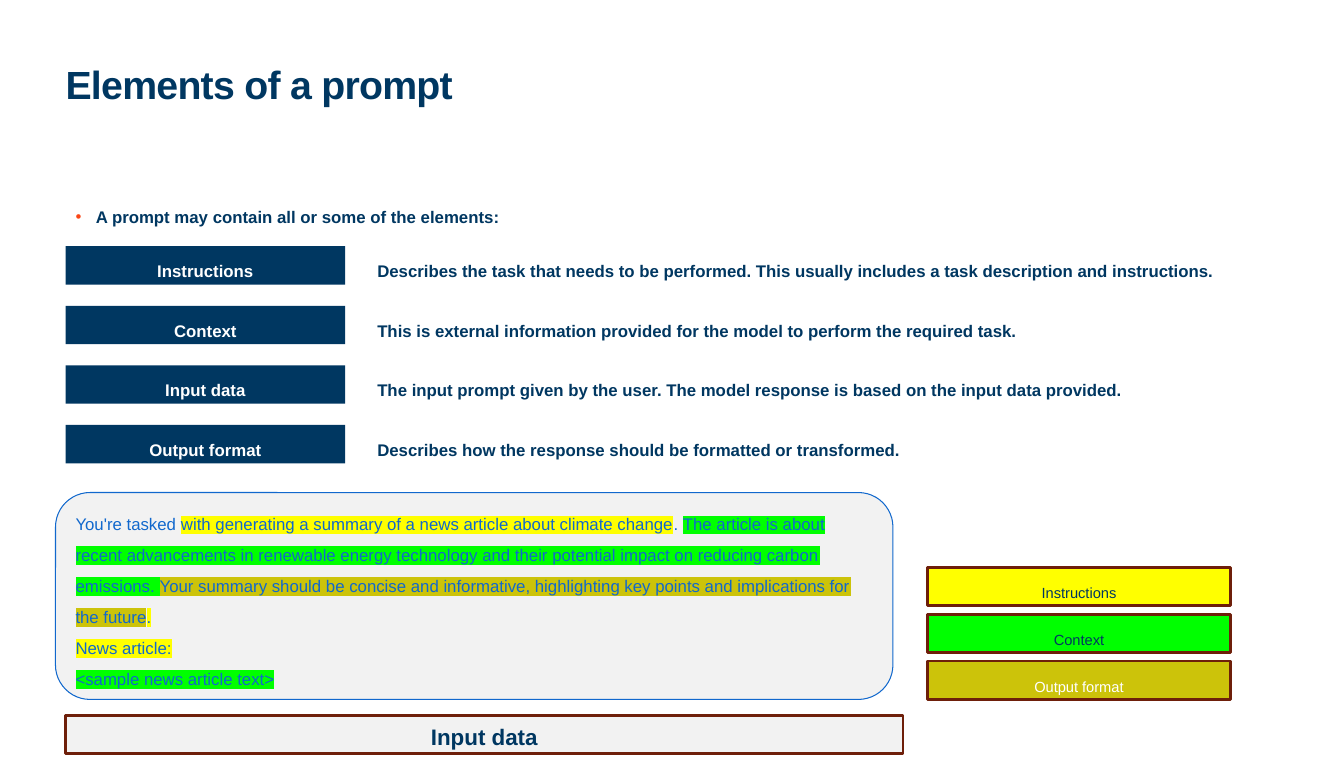
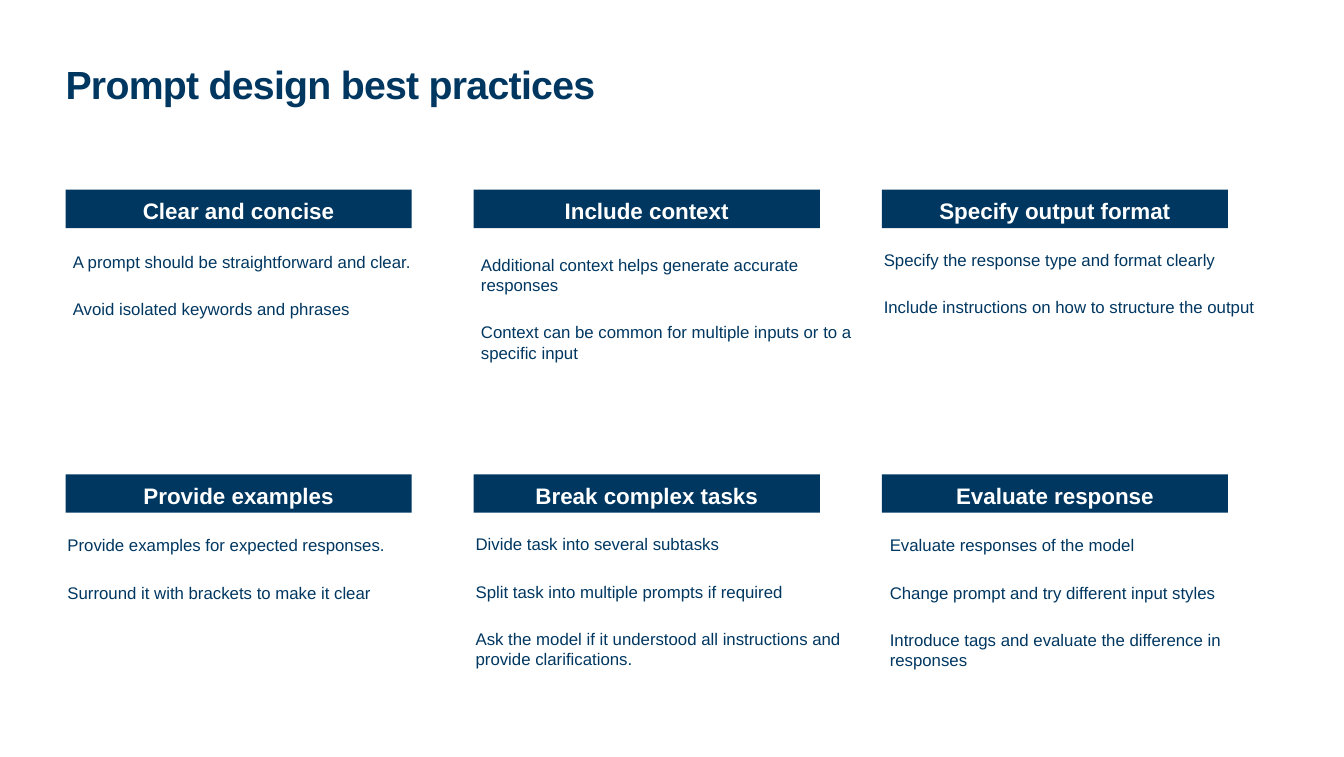
from lxml import etree
from pptx import Presentation
from pptx import util as u
from pptx.dml.color import RGBColor
from pptx.enum import shapes, text
from pptx.oxml.ns import qn

NAVY = RGBColor(0x00, 0x37, 0x61)
BLUE = RGBColor(0x11, 0x68, 0xCD)
WHITE = RGBColor(0xFF, 0xFF, 0xFF)
PALE = RGBColor(0xF2, 0xF2, 0xF2)
BROWN = RGBColor(0x6E, 0x1F, 0x0A)
ORANGE = RGBColor(0xFA, 0x46, 0x16)
YELLOW = RGBColor(0xFF, 0xFF, 0x00)
GREEN = RGBColor(0x00, 0xFF, 0x00)
OLIVE = RGBColor(0xCC, 0xC3, 0x0A)

FONT = "Arial"
LEADING = u.Pt(22)
LEFT, FULL, BAR = 4.88, 89.79, 5.07  # shares of the slide, in percent
CENTER, START = text.PP_ALIGN.CENTER, text.PP_ALIGN.LEFT
MIDDLE, TOP = text.MSO_ANCHOR.MIDDLE, text.MSO_ANCHOR.TOP


def add_color(parent, tag, color):
    element = etree.SubElement(parent, qn(tag))
    etree.SubElement(element, qn("a:srgbClr"), val=str(color))
    return element


def write(frame, paragraphs, size=12, color=NAVY, bold=False, align=START,
          leading=LEADING, gap=0, anchor=MIDDLE, tracking=0, bullet=None):
    """Fill a frame; a paragraph is a string or a list of (words, highlight)."""
    frame.word_wrap = True
    frame.auto_size = text.MSO_AUTO_SIZE.NONE
    frame.vertical_anchor = anchor
    for index, content in enumerate(paragraphs):
        paragraph = frame.add_paragraph() if index else frame.paragraphs[0]
        if bullet:
            properties = paragraph._p.get_or_add_pPr()
            properties.set("marL", str(u.Inches(0.2)))
            properties.set("indent", str(u.Inches(-0.2)))
            add_color(properties, "a:buClr", bullet)
            etree.SubElement(properties, qn("a:buChar"), char="•")
        paragraph.alignment = align
        paragraph.line_spacing = leading
        paragraph.space_before = u.Pt(gap if index else 0)
        for words, highlight in [(content, None)] if isinstance(content, str) else content:
            if words == "\n":
                paragraph.add_line_break()
                continue
            run = paragraph.add_run()
            run.text = words
            run.font.size, run.font.bold, run.font.name = u.Pt(size), bold, FONT
            run.font.color.rgb = color
            properties = run._r.get_or_add_rPr()
            if tracking:
                properties.set("spc", str(int(tracking * 100)))
            if highlight:
                mark = add_color(properties, "a:highlight", highlight)
                properties.find(qn("a:solidFill")).addnext(mark)


class Deck:
    """Holds the presentation and the current slide; lengths are percent of the slide."""

    def __init__(self):
        self.show = Presentation()
        self.show.slide_width, self.show.slide_height = u.Inches(13.32), u.Inches(7.5)
        self.slide = None

    def area(self, left, top, width, height):
        across, down = self.show.slide_width / 100, self.show.slide_height / 100
        return [u.Emu(round(share * unit)) for share, unit in
                zip((left, top, width, height), (across, down, across, down))]

    def move(self, holder, *place):
        holder.left, holder.top, holder.width, holder.height = self.area(*place)
        return holder.text_frame

    def new_slide(self, title, layout):
        self.slide = self.show.slides.add_slide(self.show.slide_layouts[layout])
        frame = self.move(self.slide.shapes.title, LEFT, 8.93, FULL, 7.07)
        frame.margin_left = frame.margin_right = frame.margin_top = frame.margin_bottom = 0
        write(frame, [title], size=28, bold=True, leading=0.85, anchor=TOP, tracking=-0.5)

    def body(self, points, *place):
        frame = self.move(self.slide.placeholders[1], *place)
        write(frame, points, bold=True, anchor=TOP, bullet=ORANGE)

    def label(self, paragraphs, *place, **style):
        write(self.slide.shapes.add_textbox(*self.area(*place)).text_frame, paragraphs, **style)

    def panel(self, paragraphs, *place, fill=NAVY, line=None, weight=2,
              kind=shapes.MSO_SHAPE.RECTANGLE, **style):
        panel = self.slide.shapes.add_shape(kind, *self.area(*place))
        panel.shadow.inherit = False
        panel.fill.solid()
        panel.fill.fore_color.rgb = fill
        if line:
            panel.line.color.rgb = line
            panel.line.width = u.Pt(weight)
        else:
            panel.line.fill.background()
        write(panel.text_frame, paragraphs, **style)

    def bar(self, caption, left, top, width, **style):
        options = {"color": WHITE, "size": 16, "bold": True, "align": CENTER, **style}
        self.panel([caption], left, top, width, BAR, **options)


ELEMENTS = [
    ("Instructions", "Describes the task that needs to be performed. "
                     "This usually includes a task description and instructions."),
    ("Context", "This is external information provided for the model to perform the required task."),
    ("Input data", "The input prompt given by the user. "
                   "The model response is based on the input data provided."),
    ("Output format", "Describes how the response should be formatted or transformed."),
]
SAMPLE_PROMPT = [
    [("You're tasked ", None),
     ("with generating a summary of a news article about climate change", YELLOW),
     (". ", None),
     ("The article is about recent advancements in renewable energy technology and their "
      "potential impact on reducing carbon emissions. ", GREEN),
     ("Your summary should be concise and informative, highlighting key points and "
      "implications for the future", OLIVE),
     (".", YELLOW)],
    [("News article:", YELLOW), ("\n", None), ("<sample news article text>", GREEN)],
]
LEGEND = [("Instructions", YELLOW, NAVY), ("Context", GREEN, NAVY), ("Output format", OLIVE, WHITE)]

# Heading, shift of its list (right, down), list
PRACTICES = [
    ("Clear and concise", (-0.2, 0),
     ["A prompt should be straightforward and clear.", "Avoid isolated keywords and phrases"]),
    ("Include context", (-0.2, 0.4),
     ["Additional context helps generate accurate responses",
      "Context can be common for multiple inputs or to a specific input"]),
    ("Specify output format", (-0.6, -0.27),
     ["Specify the response type and format clearly",
      "Include instructions on how to structure the output"]),
    ("Provide examples", (-0.6, -0.13),
     ["Provide examples for expected responses.", "Surround it with brackets to make it clear"]),
    ("Break complex tasks", (-0.6, -0.27),
     ["Divide task into several subtasks", "Split task into multiple prompts if required",
      "Ask the model if it understood all instructions and provide clarifications."]),
    ("Evaluate response", (-0.15, -0.13),
     ["Evaluate responses of the model", "Change prompt and try different input styles",
      "Introduce tags and evaluate the difference in responses"]),
]


def elements_slide(deck):
    deck.new_slide("Elements of a prompt", layout=1)
    deck.body(["A prompt may contain all or some of the elements:"], LEFT, 25.2, FULL, 7.07)
    for row, (element, meaning) in enumerate(ELEMENTS):
        top = 32.53 + 7.87 * row
        deck.bar(element, LEFT, top, 20.8, size=12)
        deck.label([meaning], 27.33, top, 67.34, BAR, bold=True)
    deck.panel(SAMPLE_PROMPT, 4.13, 65.07, 62.31, 27.33, fill=PALE, line=BLUE, weight=0.75,
               kind=shapes.MSO_SHAPE.ROUNDED_RECTANGLE, color=BLUE)
    for row, (element, fill, color) in enumerate(LEGEND):
        deck.bar(element, 68.99, 74.93 + 6.2 * row, 22.6, fill=fill, line=BROWN,
                 color=color, size=10.5, bold=False)
    deck.bar("Input data", LEFT, 94.53, 62.31, fill=PALE, line=BROWN, color=NAVY)


def practices_slide(deck):
    deck.new_slide("Prompt design best practices", layout=5)
    for index, (heading, (right, down), advice) in enumerate(PRACTICES):
        row, column = divmod(index, 3)
        left, top = LEFT + 30.37 * column, 25.07 + 37.6 * row
        deck.bar(heading, left, top, 25.75)
        deck.label(advice, left + right, top + 7.47 + down, 29.58, 28.27,
                   leading=1.0, gap=19.5, anchor=TOP)


def main():
    deck = Deck()
    elements_slide(deck)
    practices_slide(deck)
    deck.show.save("out.pptx")


if __name__ == "__main__":
    main()
